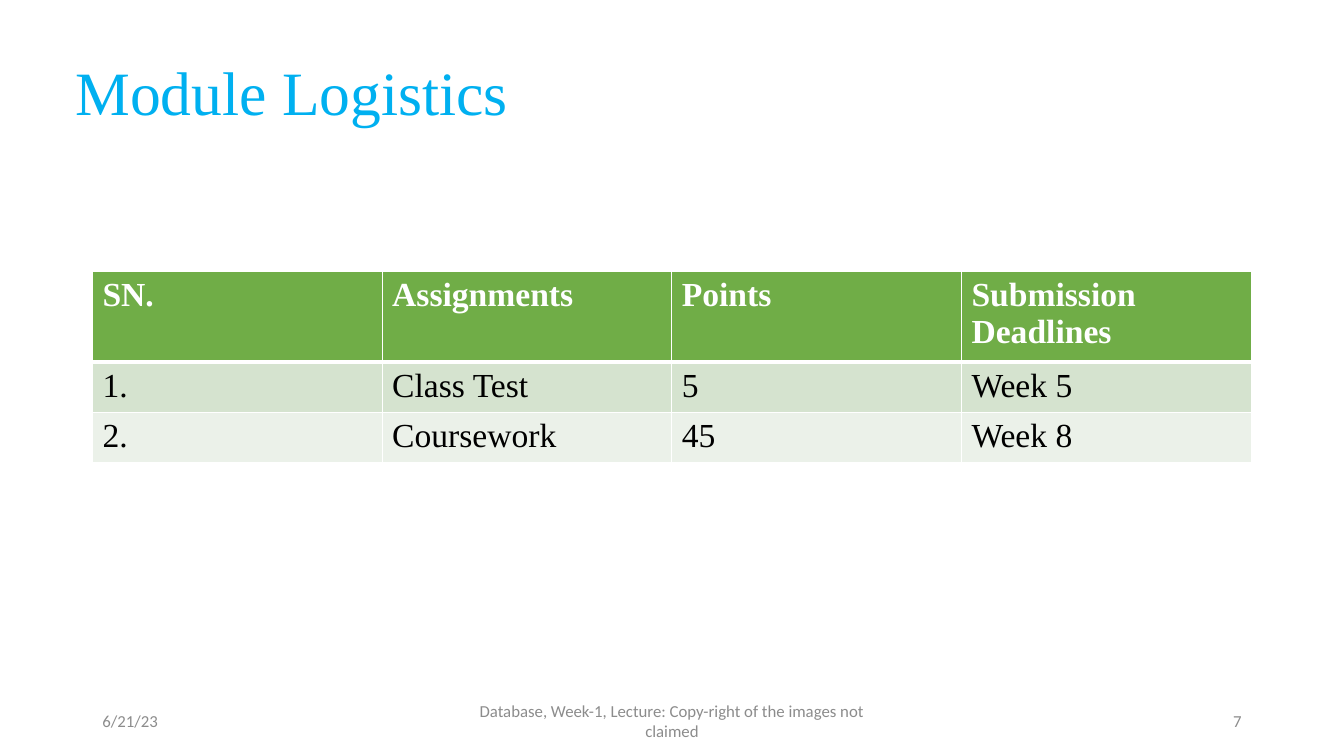
from dataclasses import dataclass

from lxml import etree
from pptx import Presentation
from pptx import util as u
from pptx.dml.color import RGBColor
from pptx.enum import text
from pptx.oxml.ns import qn

SERIF, SANS = "Times New Roman", "Calibri"
WHITE, BLACK, BLUE, GREY = "FFFFFF", "000000", "00B0F0", "8C8C8C"
HEADER_FILL, BAND_FILLS = "70AD47", ("D5E3CF", "EBF1E9")


@dataclass
class Label:
    words: str
    left: float
    top: float
    width: float
    height: float
    size: int
    font: str
    color: str
    align: text.PP_ALIGN = text.PP_ALIGN.LEFT
    spacing: float = 1.0


def rgb(value: str) -> RGBColor:
    return RGBColor.from_string(value)


def write(tf, words: str, color: str, **formats) -> None:
    r = tf.paragraphs[0].add_run()
    r.text = words
    r.font.color.rgb = rgb(color)
    for name, value in formats.items():
        setattr(r.font, name, value)


def draw_label(s, label: Label) -> None:
    box = (label.left, label.top, label.width, label.height)
    tf = s.shapes.add_textbox(*map(u.Cm, box)).text_frame
    tf.word_wrap = True
    tf.vertical_anchor = text.MSO_ANCHOR.MIDDLE
    p = tf.paragraphs[0]
    p.alignment, p.line_spacing = label.align, label.spacing
    write(tf, label.words, label.color, size=u.Pt(label.size), name=label.font)


def draw_borders(cell, widths: dict[str, int], color: str) -> None:
    tc_pr = cell._tc.get_or_add_tcPr()
    for i, (side, width) in enumerate(widths.items()):
        ln = etree.Element(qn(f"a:{side}"), w=str(u.Pt(width)))
        fill = etree.SubElement(ln, qn("a:solidFill"))
        etree.SubElement(fill, qn("a:srgbClr"), val=color)
        tc_pr.insert(i, ln)  # borders come before the fill


def draw_table(s, rows: list[tuple[str, ...]], left: float, top: float,
               col_width: float, heights: list[float]) -> None:
    n_cols = len(rows[0])
    size = (left, top, col_width * n_cols, sum(heights))
    table = s.shapes.add_table(len(rows), n_cols, *map(u.Cm, size)).table
    for column in table.columns:
        column.width = u.Cm(col_width)
    for i, (row, height) in enumerate(zip(rows, heights)):
        table.rows[i].height = u.Cm(height)
        header = i == 0
        widths = {"lnL": 1, "lnR": 1, "lnT": 3 if i == 1 else 1,
                  "lnB": 3 if header else 1}
        for j, words in enumerate(row):
            cell = table.cell(i, j)
            cell.fill.solid()
            cell.fill.fore_color.rgb = rgb(
                HEADER_FILL if header else BAND_FILLS[(i - 1) % 2])
            draw_borders(cell, widths, WHITE)
            write(cell.text_frame, words, WHITE if header else BLACK,
                  size=u.Pt(24), name=SERIF, bold=header)


prs = Presentation()
prs.slide_width, prs.slide_height = u.Cm(33.87), u.Cm(19.05)
s = prs.slides.add_slide(prs.slide_layouts[6])

# Title
draw_label(s, Label("Module Logistics", 1.65, 0.58, 29.21, 3.68,
                    44, SERIF, BLUE, spacing=0.9))

# Footer: date, course note, slide number
FOOTER = [
    ("6/21/23", 2.33, 7.62, text.PP_ALIGN.LEFT),
    ("Database, Week-1, Lecture: Copy-right of the images not claimed",
     11.22, 11.43, text.PP_ALIGN.CENTER),
    ("7", 23.92, 7.62, text.PP_ALIGN.RIGHT),
]
for words, left, width, align in FOOTER:
    draw_label(s, Label(words, left, 17.66, width, 1.01, 12, SANS, GREY, align))

# Assignment table
ASSIGNMENTS = [
    ("SN.", "Assignments", "Points", "Submission Deadlines"),
    ("1.", "Class Test", "5", "Week 5"),
    ("2.", "Coursework", "45", "Week 8"),
]
draw_table(s, ASSIGNMENTS, 2.33, 6.84, 7.3, [2.11, 1.2, 1.2])

prs.save("out.pptx")
